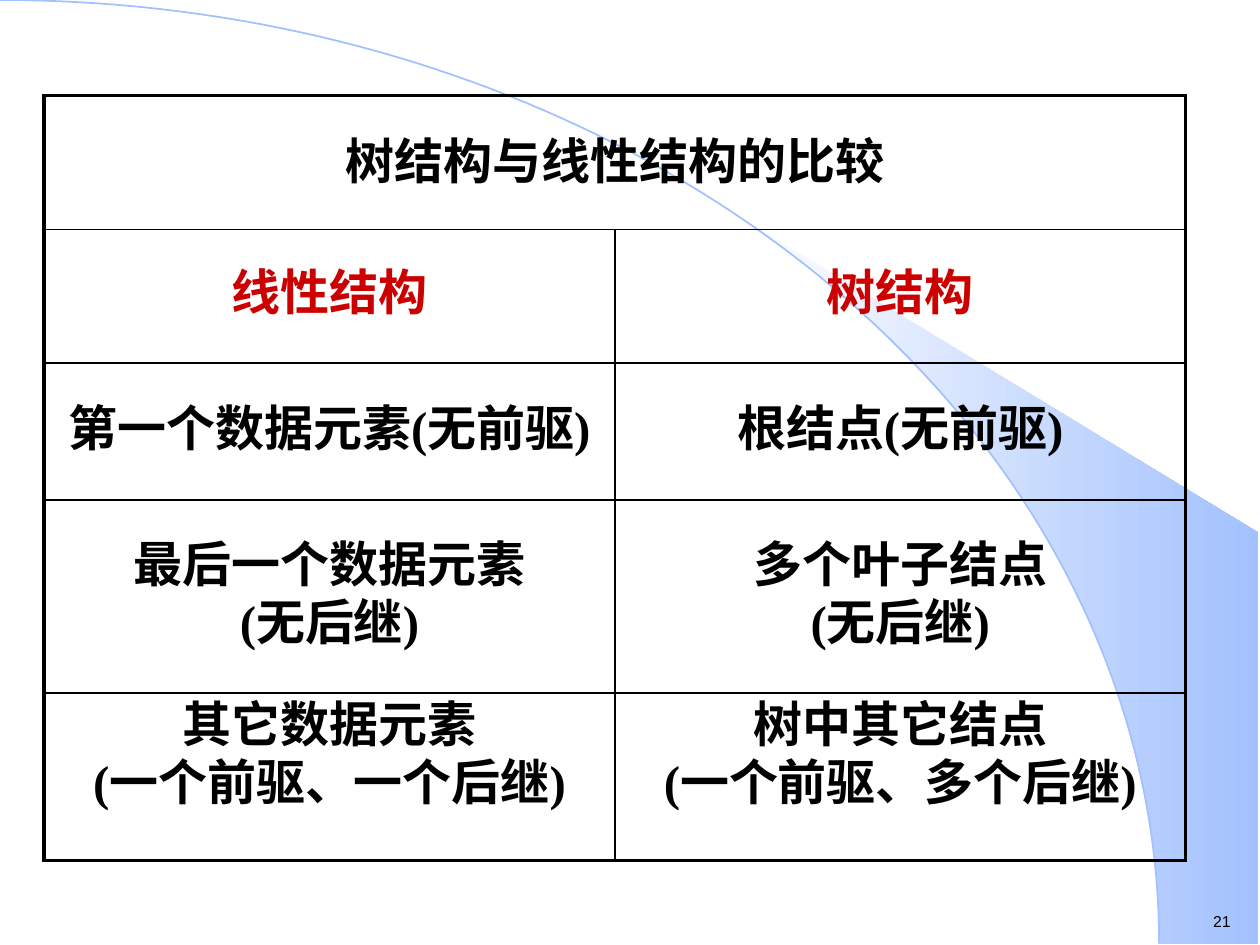
from dataclasses import dataclass
from math import asin, cos, pi, sin

from lxml.etree import SubElement
from pptx import Presentation
from pptx.dml.color import RGBColor
from pptx.enum.text import MSO_ANCHOR as Anchor, PP_ALIGN as Align
from pptx.oxml.ns import qn
from pptx.util import Inches, Pt


@dataclass(frozen=True)
class Theme:
    ink: str = "000000"
    accent: str = "CC0000"
    pale: str = "FFFFFF"
    blue: str = "A2C1FE"
    table_font: str = "Times New Roman"
    number_font: str = "Arial"
    table_size: float = 28
    number_size: float = 9
    inner_border: float = 1
    outer_border: float = 2.25


@dataclass(frozen=True)
class Row:
    height: float
    cells: tuple[str, ...]
    color: str = "000000"
    spacing: float = 33
    anchor: Anchor = Anchor.MIDDLE


THEME = Theme()
ARC_WIDTH, ARC_HEIGHT = 9.2, 7.49
COLUMN_WIDTH = 4.53
ROWS = (
    Row(1.06, ("树结构与线性结构的比较",), spacing=35),
    Row(1.06, ("线性结构", "树结构"), THEME.accent),
    Row(1.09, ("第一个数据元素(无前驱)", "根结点(无前驱)")),
    Row(1.53, ("最后一个数据元素\n(无后继)", "多个叶子结点\n(无后继)")),
    Row(1.33, ("其它数据元素\n(一个前驱、一个后继)", "树中其它结点\n(一个前驱、多个后继)"),
        anchor=Anchor.TOP),
)


def rgb(color: str) -> RGBColor:
    return RGBColor.from_string(color)


def apply(target, values: dict) -> None:
    for name, value in values.items():
        setattr(target, name, value)


def format_font(font, name: str, size: float, color: str, bold: bool = False) -> None:
    apply(font, {"name": name, "size": Pt(size), "bold": bold})
    font.color.rgb = rgb(color)


def arc_points(start: float, steps: int) -> list[tuple[float, float]]:
    """Points on the quarter ellipse, from an angle to the right-hand end."""
    angles = [start + (pi / 2 - start) * step / steps for step in range(steps + 1)]
    return [(ARC_WIDTH * sin(angle), ARC_HEIGHT * (1 - cos(angle))) for angle in angles]


def add_outline(slide, points: list[tuple[float, float]], close: bool):
    corners = [(Inches(x), Inches(y)) for x, y in points]
    builder = slide.shapes.build_freeform(*corners[0])
    builder.add_line_segments(corners[1:], close=close)
    shape = builder.convert_to_shape()
    shape.shadow.inherit = False
    return shape


def add_background(slide) -> None:
    # Shaded wedge between the arc and the right edge
    wedge_points = arc_points(asin(5.89 / ARC_WIDTH), 30) + [(9.99, 7.49), (9.99, 4.23)]
    wedge = add_outline(slide, wedge_points, close=True)
    wedge.line.fill.background()
    wedge.fill.gradient()
    wedge.fill.gradient_angle = 0
    for stop, color, position in zip(wedge.fill.gradient_stops, (THEME.pale, THEME.blue), (0, 1)):
        stop.color.rgb = rgb(color)
        stop.position = position

    # Thin arc across the slide
    arc = add_outline(slide, arc_points(0, 90), close=False)
    arc.fill.background()
    arc.line.color.rgb = rgb(THEME.blue)
    arc.line.width = Pt(1)


def set_borders(cell, outer_sides: dict[str, bool]) -> None:
    properties = cell._tc.get_or_add_tcPr()
    for side, outer in outer_sides.items():
        width = THEME.outer_border if outer else THEME.inner_border
        line = SubElement(properties, qn(f"a:ln{side}"), w=str(Pt(width)))
        fill = SubElement(line, qn("a:solidFill"))
        SubElement(fill, qn("a:srgbClr"), val=THEME.ink)


def fill_cell(cell, text: str, row: Row) -> None:
    cell.text = text
    cell.vertical_anchor = row.anchor
    for paragraph in cell.text_frame.paragraphs:
        apply(paragraph, {"alignment": Align.CENTER, "line_spacing": Pt(row.spacing)})
        for run in paragraph.runs:
            format_font(run.font, THEME.table_font, THEME.table_size, row.color, bold=True)


def add_comparison(slide) -> None:
    total = sum(row.height for row in ROWS)
    table = slide.shapes.add_table(len(ROWS), 2, Inches(0.35), Inches(0.76),
                                   Inches(2 * COLUMN_WIDTH), Inches(total)).table
    apply(table, {"first_row": False, "horz_banding": False})
    for column in table.columns:
        column.width = Inches(COLUMN_WIDTH)
    table.cell(0, 0).merge(table.cell(0, 1))

    for row_index, row in enumerate(ROWS):
        table.rows[row_index].height = Inches(row.height)
        for column_index in range(2):
            cell = table.cell(row_index, column_index)
            merged = len(row.cells) == 1
            set_borders(cell, {
                "L": merged or column_index == 0,
                "R": merged or column_index == 1,
                "T": row_index == 0,
                "B": row_index == len(ROWS) - 1,
            })
            cell.fill.background()
            if column_index < len(row.cells):
                fill_cell(cell, row.cells[column_index], row)


def add_slide_number(slide) -> None:
    box = slide.shapes.add_textbox(Inches(9.53), Inches(7.19), Inches(0.35), Inches(0.25))
    box.text_frame.word_wrap = False
    run = box.text_frame.paragraphs[0].add_run()
    run.text = "21"
    format_font(run.font, THEME.number_font, THEME.number_size, THEME.ink)


def main() -> None:
    presentation = Presentation()
    apply(presentation, {"slide_width": Inches(10), "slide_height": Inches(7.5)})
    slide = presentation.slides.add_slide(presentation.slide_layouts[6])
    add_background(slide)
    add_slide_number(slide)
    add_comparison(slide)
    presentation.save("out.pptx")


if __name__ == "__main__":
    main()
